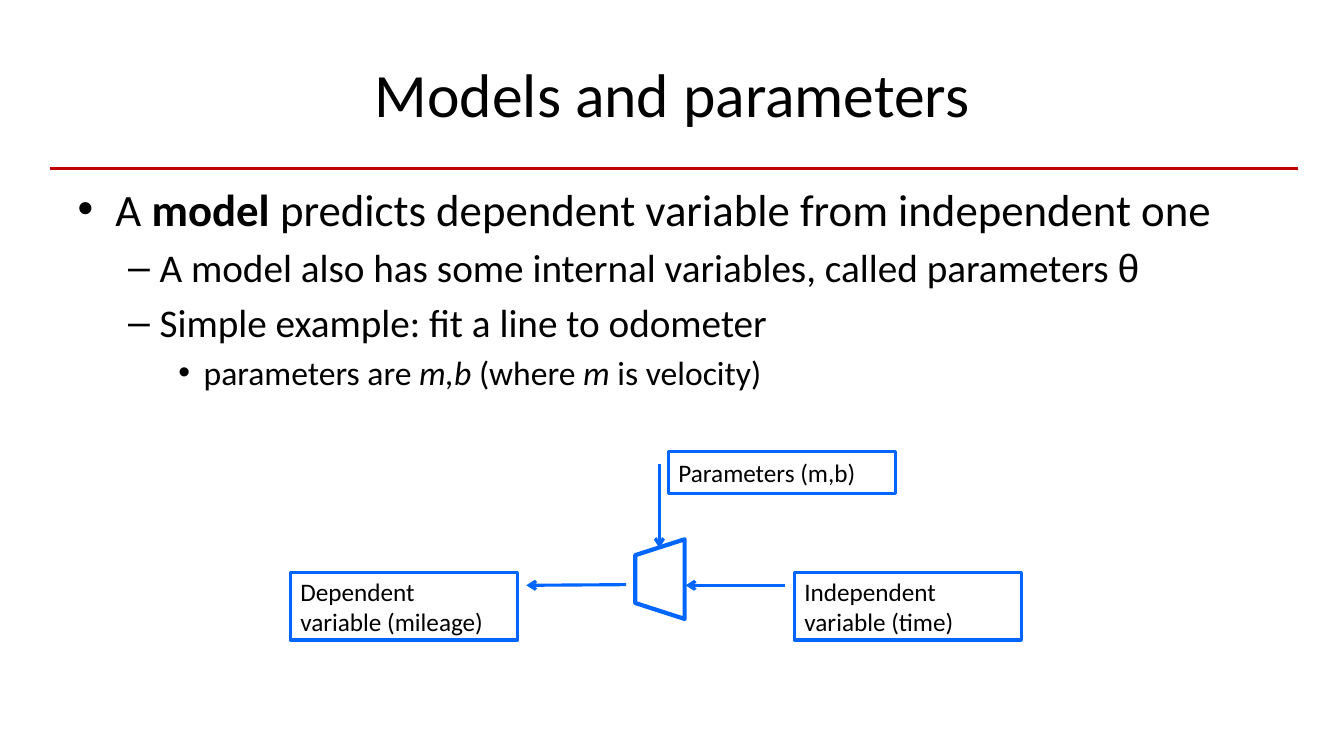
from lxml.etree import SubElement
from pptx import Presentation
from pptx.dml.color import RGBColor
from pptx.enum.shapes import MSO_CONNECTOR, MSO_SHAPE
from pptx.enum.text import MSO_ANCHOR, MSO_AUTO_SIZE, PP_ALIGN
from pptx.oxml.ns import qn
from pptx.util import Inches, Pt

COLORS = {"text": "000000", "rule": "C00000", "diagram": "0066FF"}
BOX_WIDTH = 2.25
LOWER_ROW = {"top": 5.68, "height": 0.67}


class SlideBuilder:
    """Holds the style and the current slide."""

    def __init__(self, presentation):
        self.font = {"name": "Calibri"}
        self.slide = presentation.slides.add_slide(presentation.slide_layouts[1])

    def place(self, shape, left, top, width, height):
        box = {"left": left, "top": top, "width": width, "height": height}
        for name, value in box.items():
            setattr(shape, name, Inches(value))

    def add_runs(self, paragraph, runs, size, align=PP_ALIGN.LEFT):
        paragraph.alignment = align
        for text, changes in runs:
            run = paragraph.add_run()
            run.text = text
            for name, value in {**self.font, "size": Pt(size), **changes}.items():
                setattr(run.font, name, value)
            run.font.color.rgb = RGBColor.from_string(COLORS["text"])

    def paint_line(self, shape, color, width):
        shape.line.color.rgb = RGBColor.from_string(COLORS[color])
        shape.line.width = Pt(width)

    def title(self, text):
        shape = self.slide.shapes.title
        self.place(shape, 0.67, 0.3, 12, 1.25)
        frame = shape.text_frame
        frame.auto_size = MSO_AUTO_SIZE.NONE
        frame.vertical_anchor = MSO_ANCHOR.MIDDLE
        self.add_runs(frame.paragraphs[0], [(text, {})], 44, PP_ALIGN.CENTER)

    def bullets(self, items):
        shape = self.slide.placeholders[1]
        self.place(shape, 0.67, 1.75, 12, 4.95)
        frame = shape.text_frame
        frame.auto_size = MSO_AUTO_SIZE.NONE
        for index, (level, runs) in enumerate(items):
            paragraph = frame.add_paragraph() if index else frame.paragraphs[0]
            paragraph.level = level
            self.add_runs(paragraph, runs, 32 - 4 * level)

    def rule(self, left, right, top):
        line = self.slide.shapes.add_connector(
            MSO_CONNECTOR.STRAIGHT, Inches(left), Inches(top), Inches(right), Inches(top))
        self.paint_line(line, "rule", 2)
        SubElement(line.element.spPr, qn("a:effectLst"))

    def outline(self, kind, left, top, width, height, line_width):
        shape = self.slide.shapes.add_shape(
            kind, Inches(left), Inches(top), Inches(width), Inches(height))
        shape.shadow.inherit = False
        shape.fill.background()
        self.paint_line(shape, "diagram", line_width)
        return shape

    def callout(self, lines, left, top, height, leader, arrow_end):
        """Box with a leader; leader is (y, x, y, x) in shares of the box."""
        shape = self.outline(MSO_SHAPE.LINE_CALLOUT_1, left, top, BOX_WIDTH, height, 2.25)
        for index, value in enumerate(leader):
            shape.adjustments[index] = value
        SubElement(shape.element.spPr.find(qn("a:ln")), qn(f"a:{arrow_end}"), type="arrow")
        frame = shape.text_frame
        frame.word_wrap = True
        frame.vertical_anchor = MSO_ANCHOR.MIDDLE
        for index, text in enumerate(lines):
            paragraph = frame.add_paragraph() if index else frame.paragraphs[0]
            self.add_runs(paragraph, [(text, {})], 18)


def main():
    presentation = Presentation()
    presentation.slide_width = Inches(13.33)
    presentation.slide_height = Inches(7.5)
    builder = SlideBuilder(presentation)

    # Heading and rule
    builder.title("Models and parameters")
    builder.rule(0.5, 12.87, 1.67)

    # Bulleted list: level and runs
    bold, italic = {"bold": True}, {"italic": True}
    builder.bullets([
        (0, [("A ", {}), ("model", bold),
             (" predicts dependent variable from independent one", {})]),
        (1, [("A model also has some internal variables, called parameters ", {}),
             ("θ", {"name": "Arial"})]),
        (1, [("Simple example: fit a line to odometer", {})]),
        (2, [("parameters are ", {}), ("m,b ", italic), ("(where ", {}),
             ("m ", italic), ("is velocity)", {})]),
    ])

    # Model block
    model = builder.outline(MSO_SHAPE.FLOWCHART_MANUAL_OPERATION, 6.15, 5.5, 0.79, 0.49, 3)
    model.rotation = 90

    # Inputs and output of the model
    builder.callout(["Independent variable (time)"], 7.88, **LOWER_ROW,
                    leader=(0.19, -0.04, 0.19, -0.48), arrow_end="tailEnd")
    builder.callout(["Dependent", "variable (mileage)"], 2.88, **LOWER_ROW,
                    leader=(0.19, 1.04, 0.18, 1.48), arrow_end="headEnd")
    builder.callout(["Parameters (m,b)"], 6.63, 4.48, 0.42,
                    leader=(0.3, -0.04, 2.28, -0.04), arrow_end="tailEnd")

    presentation.save("out.pptx")


if __name__ == "__main__":
    main()
